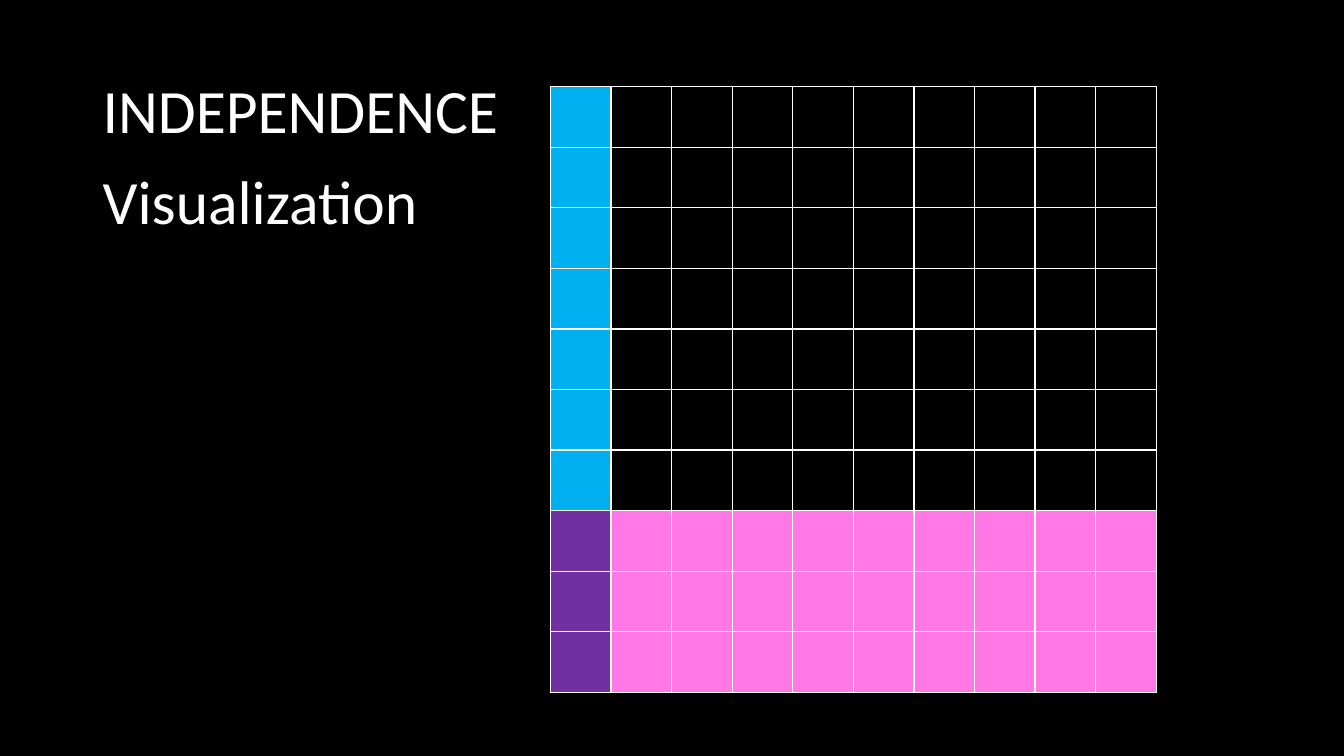
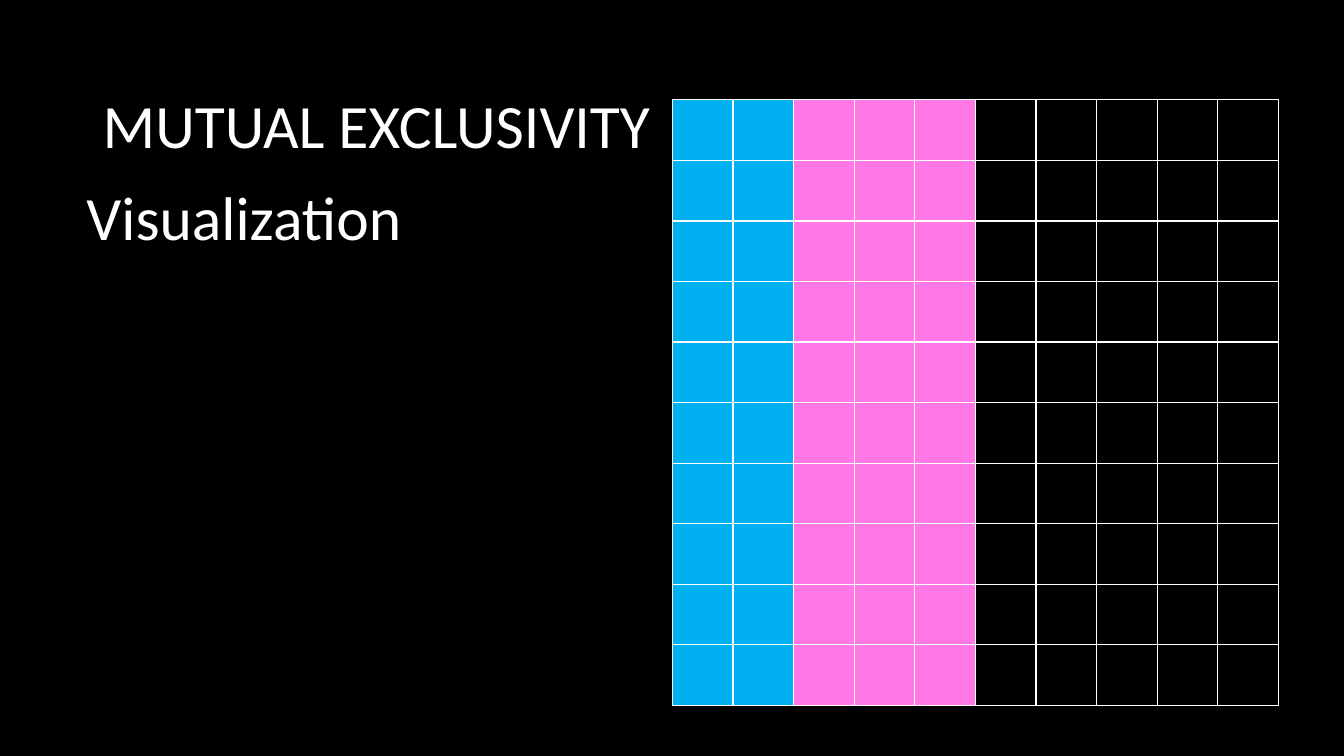
from lxml.etree import SubElement as Sub
from pptx import Presentation
from pptx.dml.color import RGBColor as RGB
from pptx.enum.text import MSO_ANCHOR as Anchor
from pptx.oxml.ns import qn
from pptx.util import Inches, Pt

BLACK = RGB(0x00, 0x00, 0x00)
WHITE = RGB(0xFF, 0xFF, 0xFF)
BLUE = RGB(0x00, 0xB0, 0xF0)
PINK = RGB(0xFF, 0x78, 0xE6)
PURPLE = RGB(0x70, 0x30, 0xA0)

FONT, SIZE = "Calibri", 44
SIDE = 6.01
LINE_H = 1.45
FILLS = {"B": BLUE, "P": PINK, "V": PURPLE}

# Each heading: text, left, top, width. Each grid: left, top, rows of fill codes.
SLIDES = [
    {
        "title": ("Visualization", 0.92, 1.3, 11.5),
        "topic": ("INDEPENDENCE", 0.92, 0.4, 12.12),
        "grid": (5.46, 0.86, ["B........."] * 7 + ["VPPPPPPPPP"] * 3),
    },
    {
        "title": ("Visualization", 0.76, 1.46, 11.5),
        "topic": ("MUTUAL EXCLUSIVITY", 0.92, 0.55, 11.5),
        "grid": (6.67, 0.99, ["BBPPP....."] * 10),
    },
]


def add_head(slide, text, left, top, width):
    box = slide.shapes.add_textbox(
        Inches(left), Inches(top), Inches(width), Inches(LINE_H))
    frame = box.text_frame
    frame.word_wrap = True
    frame.vertical_anchor = Anchor.MIDDLE
    frame.text = text
    para = frame.paragraphs[0]
    para.line_spacing = 0.9
    font = para.runs[0].font
    font.name, font.size = FONT, Pt(SIZE)
    font.color.rgb = WHITE


def add_edges(cell):
    """Draw a thin white line on all four sides of the cell."""
    props = cell._tc.get_or_add_tcPr()
    for side in ("lnL", "lnR", "lnT", "lnB"):
        line = Sub(props, qn("a:" + side), w=str(Pt(1)))
        fill = Sub(line, qn("a:solidFill"))
        Sub(fill, qn("a:srgbClr"), val=str(WHITE))


def add_grid(slide, left, top, rows):
    count = len(rows)
    table = slide.shapes.add_table(
        count, len(rows[0]), Inches(left), Inches(top),
        Inches(SIDE), Inches(SIDE)).table
    table.first_row = table.horz_banding = False
    for band in table.columns:
        band.width = Inches(SIDE / len(rows[0]))
    for band in table.rows:
        band.height = Inches(SIDE / count)
    for r, codes in enumerate(rows):
        for c, code in enumerate(codes):
            cell = table.cell(r, c)
            add_edges(cell)
            if code in FILLS:
                cell.fill.solid()
                cell.fill.fore_color.rgb = FILLS[code]
            else:
                cell.fill.background()


def main():
    deck = Presentation()
    deck.slide_width, deck.slide_height = Inches(13.33), Inches(7.5)
    for data in SLIDES:
        slide = deck.slides.add_slide(deck.slide_layouts[6])
        back = slide.background.fill
        back.solid()
        back.fore_color.rgb = BLACK
        add_head(slide, *data["title"])
        add_grid(slide, *data["grid"])
        add_head(slide, *data["topic"])
    deck.save("out.pptx")


if __name__ == "__main__":
    main()
